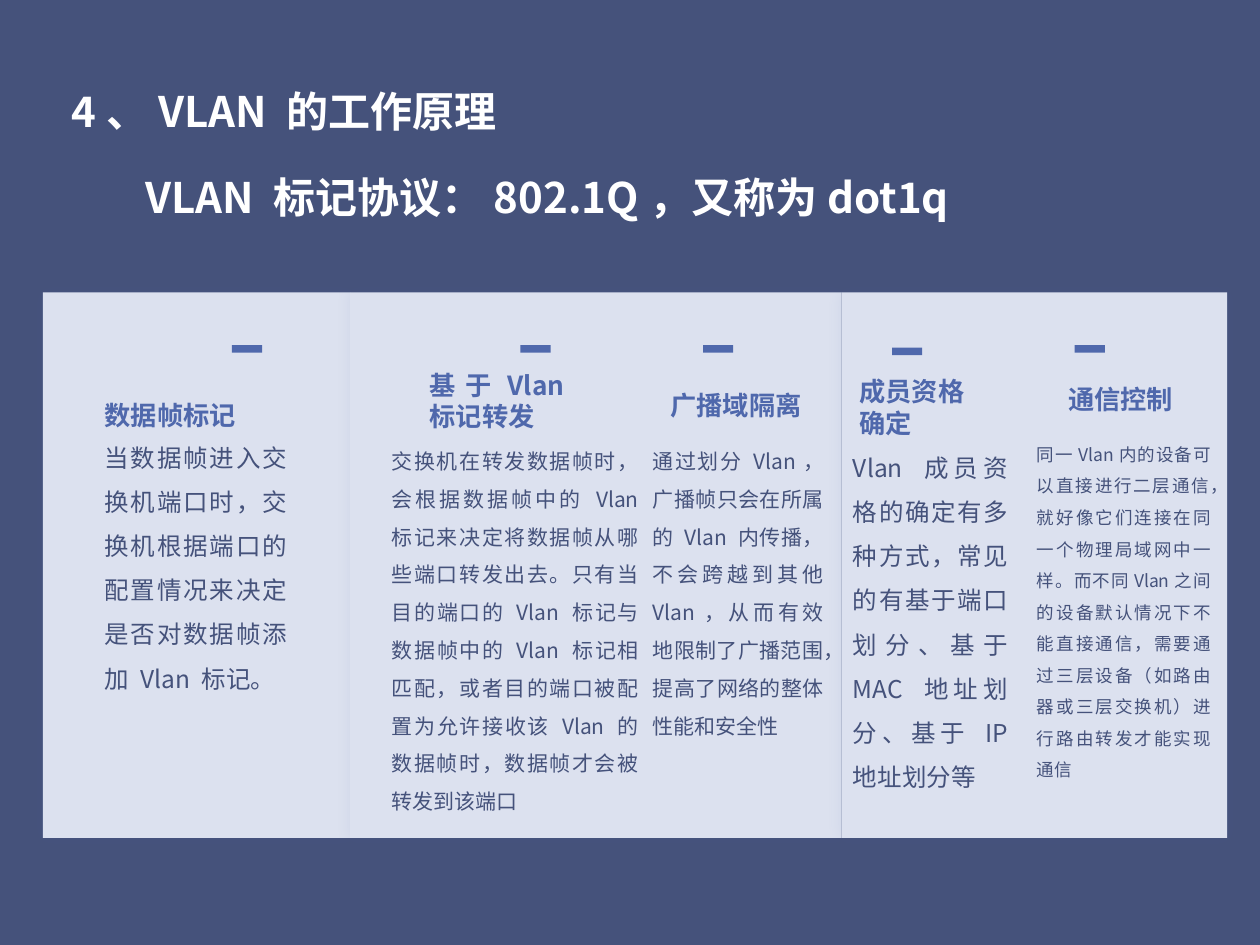
from lxml import etree
from pptx import Presentation
from pptx.dml.color import RGBColor
from pptx.enum.shapes import MSO_SHAPE
from pptx.enum.text import MSO_ANCHOR, MSO_AUTO_SIZE, PP_ALIGN
from pptx.oxml.ns import qn
from pptx.util import Inches, Pt

RECT = MSO_SHAPE.RECTANGLE
TOP, BOTTOM = MSO_ANCHOR.TOP, MSO_ANCHOR.BOTTOM
LEFT, CENTER, JUST = PP_ALIGN.LEFT, PP_ALIGN.CENTER, PP_ALIGN.JUSTIFY
GROW = MSO_AUTO_SIZE.SHAPE_TO_FIT_TEXT
FONT = "Noto Sans CJK SC"
COLORS = {"navy": "45527B", "pale": "DCE1EF", "blue": "4F68AC", "white": "FFFFFF"}

PANEL_TOP, PANEL_HIGH = 2.32, 4.33
PANEL_EDGES = [0.34, 2.78, 6.68, 9.74]

# Body box, text size, head lines, head box and dash point (both from the
# body's top left corner), head alignment, body text
COLUMNS = [
    ((0.83, 3.4, 1.45, 2.38), 14, ["数据帧标记"],
     (0, -0.51, 1.07, 0.53), (1.01, -0.66), JUST,
     "当数据帧进入交换机端口时，交换机根据端口的配置情况来决定是否对数据帧添加 Vlan 标记。"),
    ((3.11, 3.46, 1.96, 2.87), 12, ["基于Vlan 标记转发"],
     (0.3, -0.56, 1.07, 0.53), (1.02, -0.72), JUST,
     "交换机在转发数据帧时，会根据数据帧中的 Vlan 标记来决定将数据帧从哪些端口转发出去。"
     "只有当目的端口的 Vlan 标记与数据帧中的 Vlan 标记相匹配，"
     "或者目的端口被配置为允许接收该 Vlan 的数据帧时，数据帧才会被转发到该端口"),
    ((5.18, 3.46, 1.36, 2.56), 12, ["广播域隔离"],
     (0.14, -0.65, 1.07, 0.53), (0.4, -0.72), JUST,
     "通过划分 Vlan，广播帧只会在所属的 Vlan 内传播，不会跨越到其他 Vlan，"
     "从而有效地限制了广播范围，提高了网络的整体性能和安全性"),
    ((6.77, 3.48, 1.23, 2.55), 14, ["成员资格", "确定"],
     (0.05, -0.55, 1.03, 0.55), (0.31, -0.72), JUST,
     "Vlan 成员资格的确定有多种方式，常见的有基于端口划分、基于 MAC 地址划分、基于 IP 地址划分等"),
    ((8.23, 3.44, 1.38, 2.9), 10, ["通信控制"],
     (0.13, -0.64, 1.07, 0.49), (0.3, -0.7), CENTER,
     "同一Vlan内的设备可以直接进行二层通信，就好像它们连接在同一个物理局域网中一样。"
     "而不同Vlan之间的设备默认情况下不能直接通信，"
     "需要通过三层设备（如路由器或三层交换机）进行路由转发才能实现通信"),
]


def rgb(name):
    return RGBColor.from_string(COLORS[name])


def block(slide, box, color):
    """Add a plain filled rectangle."""
    shape = slide.shapes.add_shape(RECT, *map(Inches, box))
    shape.shadow.inherit = False
    shape.fill.solid()
    shape.fill.fore_color.rgb = rgb(color)
    shape.line.fill.background()
    return shape


def glow(shape):
    """Give the shape a soft, centred shadow."""
    effects = shape._element.spPr.find(qn("a:effectLst"))
    shadow = etree.SubElement(effects, qn("a:outerShdw"), blurRad=str(Pt(8)),
                              dist="0", dir="0", algn="ctr", rotWithShape="0")
    tint = etree.SubElement(shadow, qn("a:srgbClr"), val=COLORS["blue"])
    etree.SubElement(tint, qn("a:alpha"), val="10000")


def write(slide, box, lines, size, color, bold=False, align=LEFT,
          anchor=TOP, space=None, inset=0):
    """Add a text box with one paragraph for each line."""
    frame = slide.shapes.add_textbox(*map(Inches, box)).text_frame
    frame.word_wrap = True
    frame.vertical_anchor = anchor
    frame.margin_left = frame.margin_right = Inches(inset)
    frame.margin_top = frame.margin_bottom = Inches(inset / 2)
    for i, line in enumerate(lines):
        para = frame.add_paragraph() if i else frame.paragraphs[0]
        para.alignment = align
        para.line_spacing = space
        run = para.add_run()
        run.text = line
        font = run.font
        font.name, font.size, font.bold = FONT, Pt(size), bold
        font.color.rgb = rgb(color)
        etree.SubElement(run._r.get_or_add_rPr(), qn("a:ea"), typeface=FONT)
    return frame


def panels(slide, edges, top, high):
    for left, right in zip(edges, edges[1:]):
        glow(block(slide, (left, top, right - left, high), "pale"))


def column(slide, box, size, head, place, dash, align, body):
    left, top = box[:2]
    dx, dy, wide, high = place
    write(slide, box, [body], size, "navy", align=JUST, space=1.5)
    write(slide, (left + dx, top + dy, wide, high), head, 15, "blue",
          bold=True, align=align, anchor=BOTTOM)
    block(slide, (left + dash[0], top + dash[1], 0.24, 0.06), "blue")


def titles(slide, box):
    left, top, wide, high = box
    write(slide, box, ["4、VLAN 的工作原理"], 24, "white", bold=True, anchor=BOTTOM)
    sub = write(slide, (left + 0.49, top + 0.82, 6.57, 0.5),
                ["VLAN 标记协议：802.1Q，又称为dot1q"], 24, "white",
                bold=True, inset=0.1)
    sub.auto_size = GROW


def main():
    deck = Presentation()
    deck.slide_width, deck.slide_height = Inches(10), Inches(7.5)
    slide = deck.slides.add_slide(deck.slide_layouts[6])
    slide.background.fill.solid()
    slide.background.fill.fore_color.rgb = rgb("navy")
    panels(slide, PANEL_EDGES, PANEL_TOP, PANEL_HIGH)
    for item in COLUMNS:
        column(slide, *item)
    titles(slide, (0.57, 0.49, 8.86, 0.59))
    deck.save("out.pptx")


if __name__ == "__main__":
    main()
